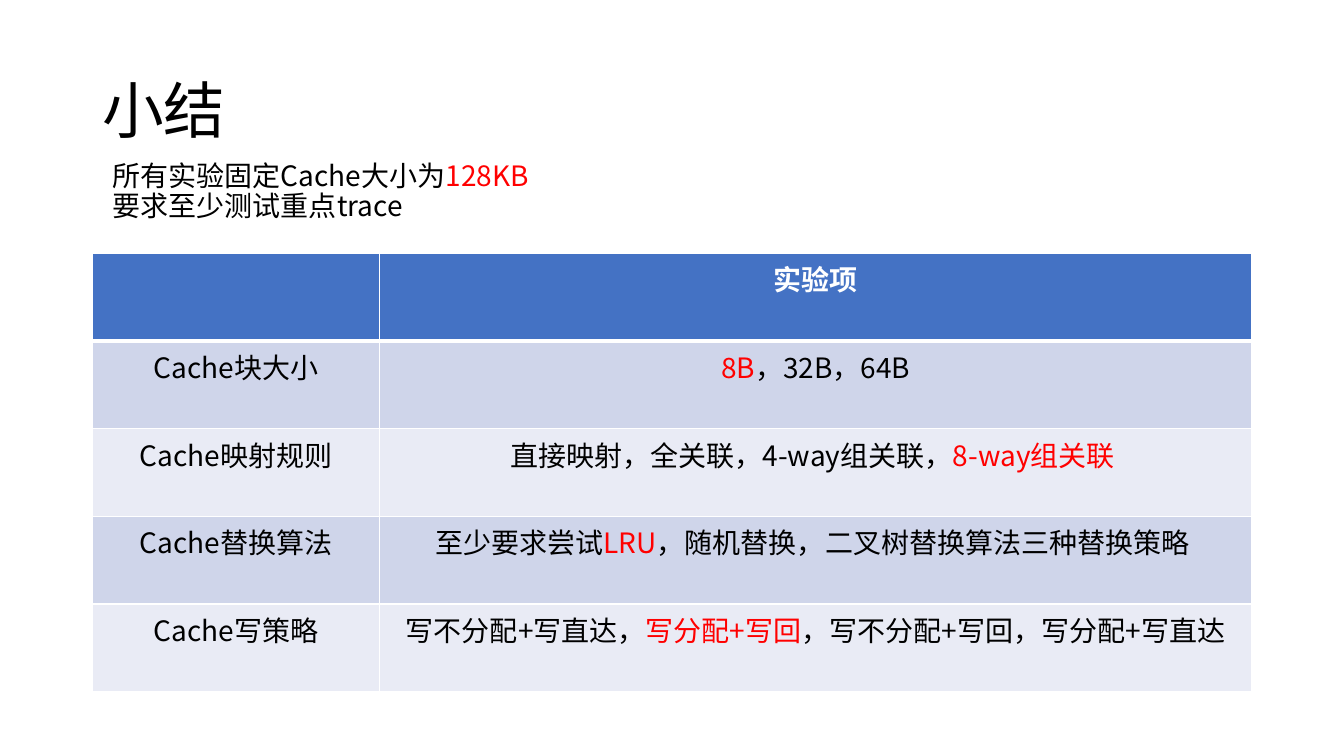
"""Build the summary slide of the cache experiments."""
from lxml import etree
from pptx import Presentation
from pptx.dml.color import RGBColor
from pptx.enum.text import MSO_ANCHOR, PP_ALIGN
from pptx.oxml.ns import qn
from pptx.util import Cm, Pt

CENTER = PP_ALIGN.CENTER
MIDDLE = MSO_ANCHOR.MIDDLE
FONT = "Noto Sans CJK SC"
BLACK, WHITE, RED = "000000", "FFFFFF", "FF0000"
HEADER, BANDS = "4472C4", ("CFD5EA", "E9EBF5")


def color(hex_text):
    return RGBColor.from_string(hex_text)


def write(paragraph, pieces, size=20, bold=False):
    for text, ink in pieces:
        run = paragraph.add_run()
        run.text = text
        run.font.size = Pt(size)
        run.font.bold = bold
        run.font.name = FONT
        run.font.color.rgb = color(ink)
        etree.SubElement(run.font._element, qn("a:ea"), typeface=FONT)


prs = Presentation()
prs.slide_width, prs.slide_height = Cm(33.87), Cm(19.05)
slide = prs.slides.add_slide(prs.slide_layouts[6])

title = slide.shapes.add_textbox(Cm(2.33), Cm(1.01), Cm(29.21), Cm(3.68)).text_frame
title.word_wrap = True
title.vertical_anchor = MIDDLE
title.paragraphs[0].line_spacing = 0.9
write(title.paragraphs[0], [("小结", BLACK)], size=44)

rows = [
    [[], [("实验项", WHITE)]],
    [[("Cache块大小", BLACK)], [("8B", RED), ("，32B，64B", BLACK)]],
    [[("Cache映射规则", BLACK)],
     [("直接映射，全关联，4-way组关联，", BLACK), ("8-way组关联 ", RED)]],
    [[("Cache替换算法", BLACK)],
     [("至少要求尝试", BLACK), ("LRU", RED),
      ("，随机替换，二叉树替换算法三种替换策略 ", BLACK)]],
    [[("Cache写策略", BLACK)],
     [("写不分配+写直达，", BLACK), ("写分配+写回", RED),
      ("，写不分配+写回，写分配+写直达", BLACK)]],
]
experiments = slide.shapes.add_table(
    len(rows), 2, Cm(2.33), Cm(6.38), Cm(29.21), Cm(11.05)).table
experiments.columns[0].width = Cm(7.24)
experiments.columns[1].width = Cm(21.97)

for r, row in enumerate(rows):
    experiments.rows[r].height = Cm(2.21)
    for c, pieces in enumerate(row):
        cell = experiments.cell(r, c)
        paragraph = cell.text_frame.paragraphs[0]
        paragraph.alignment = CENTER
        write(paragraph, pieces, bold=r == 0)
        properties = cell._tc.get_or_add_tcPr()
        for side in "LRTB":
            thick = (r, side) in ((0, "B"), (1, "T"))
            border = etree.SubElement(
                properties, qn(f"a:ln{side}"), w=str(Pt(3 if thick else 1)))
            fill = etree.SubElement(border, qn("a:solidFill"))
            etree.SubElement(fill, qn("a:srgbClr"), val=WHITE)
        cell.fill.solid()
        cell.fill.fore_color.rgb = color(BANDS[(r - 1) % 2] if r else HEADER)

requirements = slide.shapes.add_textbox(Cm(2.59), Cm(3.96), Cm(16.94), Cm(2.08)).text_frame
requirements.word_wrap = True
lines = [
    [("所有实验固定Cache大小为", BLACK), ("128KB", RED)],
    [("要求至少测试重点trace", BLACK)],
]
for i, pieces in enumerate(lines):
    paragraph = requirements.add_paragraph() if i else requirements.paragraphs[0]
    paragraph.line_spacing = 0.9
    write(paragraph, pieces)

prs.save("out.pptx")
